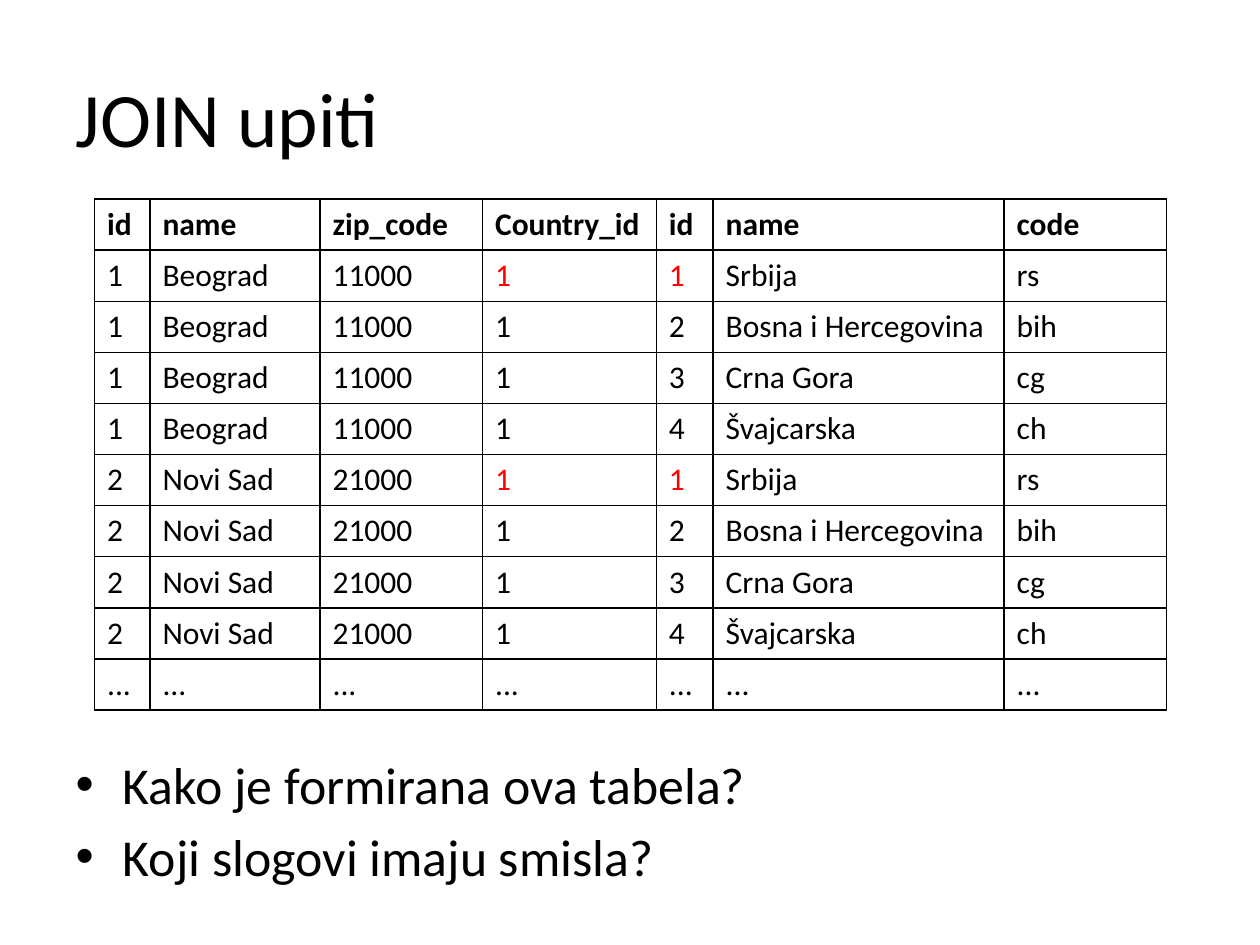
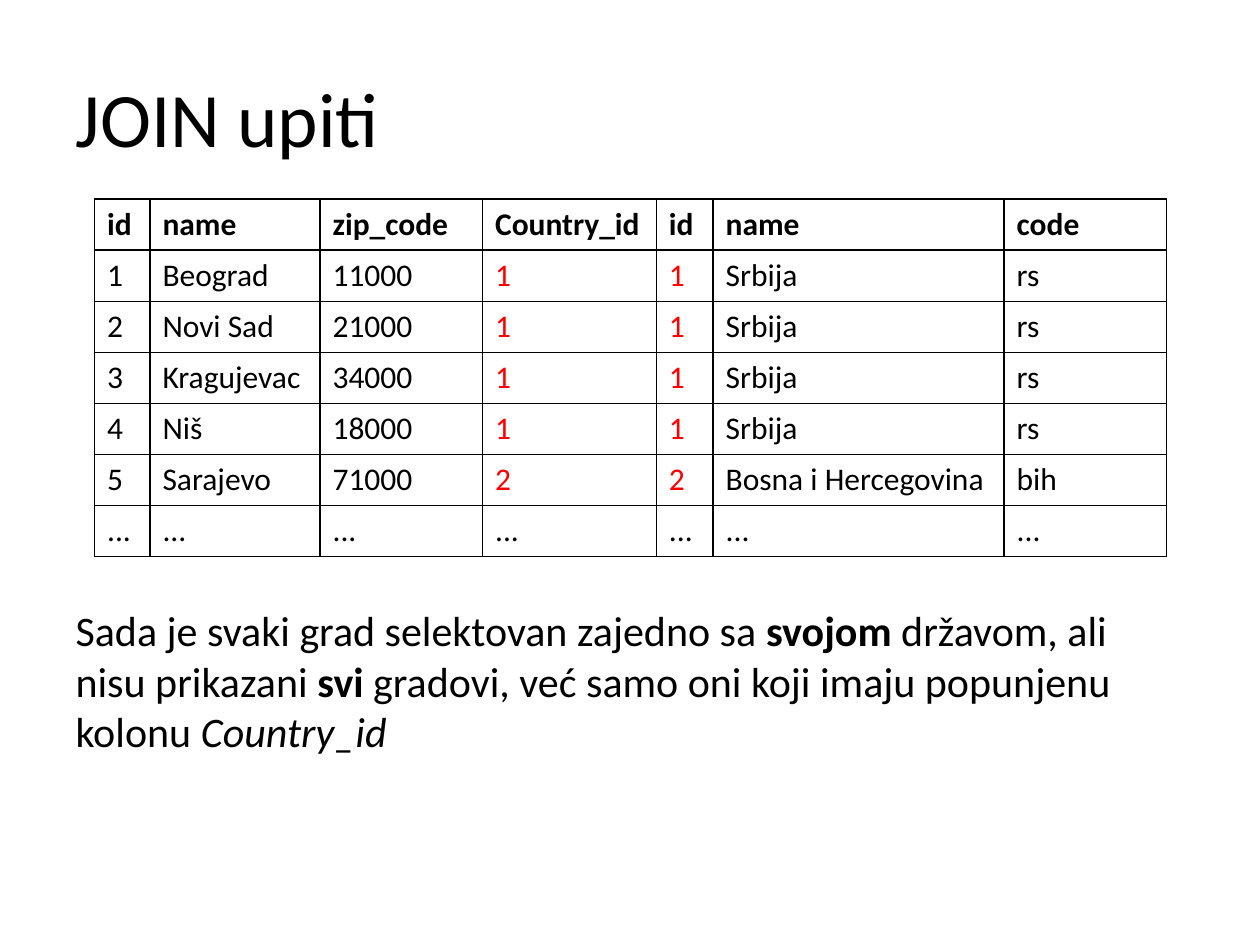
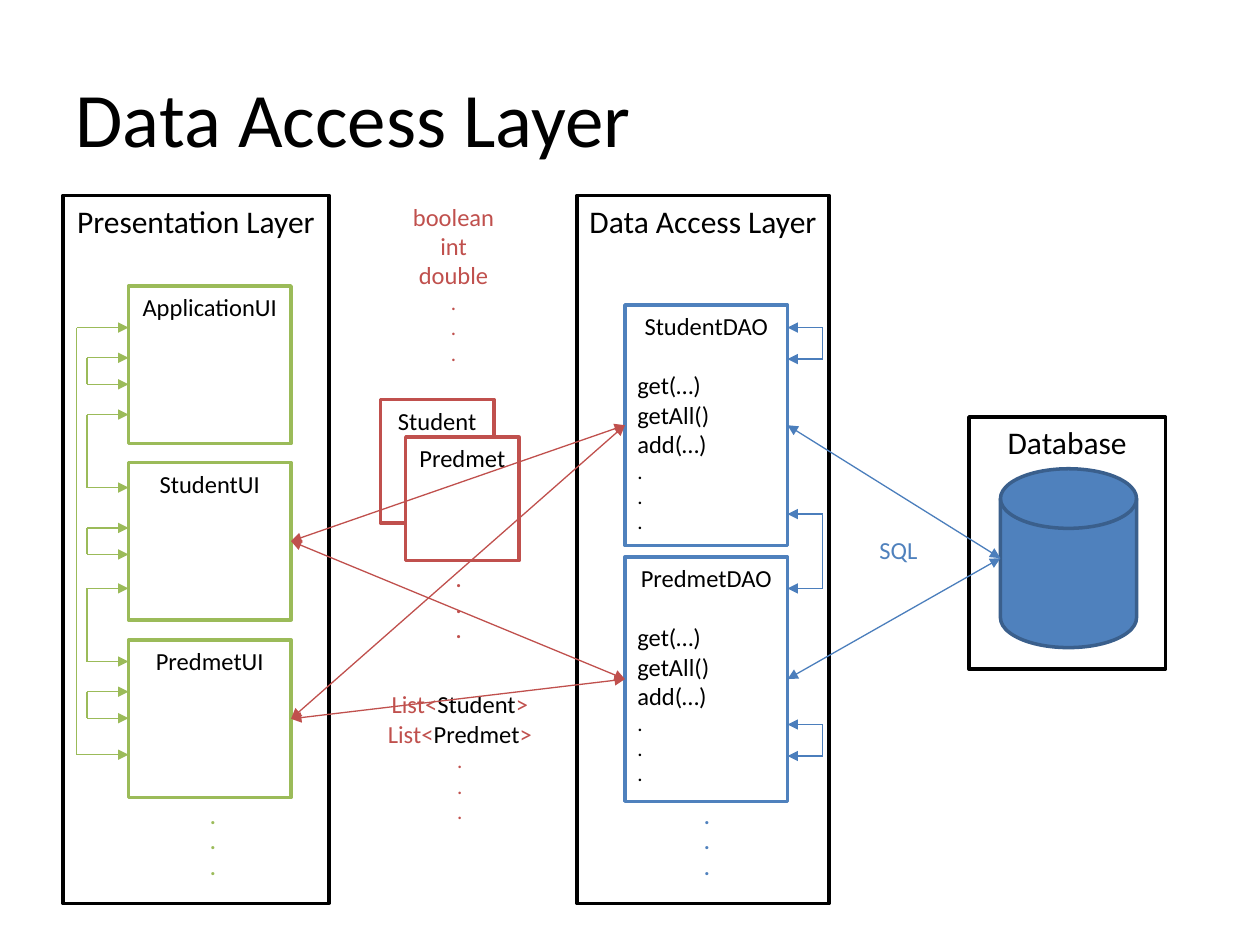
from collections import namedtuple
from itertools import product

from lxml import etree
from pptx import Presentation
from pptx.dml.color import RGBColor
from pptx.enum.shapes import MSO_CONNECTOR, MSO_SHAPE
from pptx.enum.text import MSO_ANCHOR, MSO_AUTO_SIZE, PP_ALIGN
from pptx.oxml.ns import qn
from pptx.util import Inches, Pt

STRAIGHT = MSO_CONNECTOR.STRAIGHT
RECTANGLE = MSO_SHAPE.RECTANGLE
DISK = MSO_SHAPE.FLOWCHART_MAGNETIC_DISK
TOP, MIDDLE = MSO_ANCHOR.TOP, MSO_ANCHOR.MIDDLE
LEFT, CENTER = PP_ALIGN.LEFT, PP_ALIGN.CENTER
NO_FIT, GROW = MSO_AUTO_SIZE.NONE, MSO_AUTO_SIZE.SHAPE_TO_FIT_TEXT
LEFT_SIDE, RIGHT_SIDE = 1, 3
TITLE_AND_CONTENT, TITLE_ONLY = 1, 5

FONT = "Calibri"
BLACK, WHITE, RED = "000000", "FFFFFF", "FF0000"
GREEN, BLUE, BRICK = "9BBB59", "4F81BD", "C0504D"
BLUE_LINE, BLUE_EDGE = "4B7EBC", "3A5F8C"

Box = namedtuple("Box", "left top width height")
TITLE_BOX = Box(0.5, 0.3, 9, 1.25)
DOTS = [(".", 12)] * 3

HEADER = ("id", "name", "zip_code", "Country_id", "id", "name", "code")
COLUMN_WIDTHS = (0.44, 1.35, 1.29, 1.38, 0.45, 2.31, 1.29)
ROW_HEIGHT = 0.4
KEY_COLUMNS = (3, 4)
CITIES = [
    ("1", "Beograd", "11000", "1"),
    ("2", "Novi Sad", "21000", "1"),
    ("3", "Kragujevac", "34000", "1"),
    ("4", "Niš", "18000", "1"),
    ("5", "Sarajevo", "71000", "2"),
]
COUNTRIES = [
    ("1", "Srbija", "rs"),
    ("2", "Bosna i Hercegovina", "bih"),
    ("3", "Crna Gora", "cg"),
    ("4", "Švajcarska", "ch"),
]


def rgb(color):
    return RGBColor.from_string(color)


def inches(box):
    return [Inches(value) for value in box]


def inside(box, left, top, width, height):
    return Box(box.left + left, box.top + top, width, height)


def format_span(span, size, color, bold=False, italic=False):
    font = span.font
    font.name, font.size = FONT, Pt(size)
    font.bold, font.italic = bold, italic
    font.color.rgb = rgb(color)


def add_span(para, text, size, color, bold=False, italic=False):
    span = para.add_run()
    span.text = text
    format_span(span, size, color, bold, italic)


def write_lines(frame, lines, color, align, bold=False):
    for index, (text, size) in enumerate(lines):
        para = frame.add_paragraph() if index else frame.paragraphs[0]
        para.text = text
        para.alignment = align
        format_span(para.runs[0], size, color, bold)


def place(shape, box):
    shape.left, shape.top, shape.width, shape.height = inches(box)


def add_page(deck, layout, title):
    page = deck.slides.add_slide(deck.slide_layouts[layout])
    place(page.shapes.title, TITLE_BOX)
    frame = page.shapes.title.text_frame
    frame.vertical_anchor = MIDDLE
    write_lines(frame, [(title, 44)], BLACK, LEFT)
    return page


def place_body(page, box):
    body = page.placeholders[1]
    place(body, box)
    body.text_frame.auto_size = NO_FIT
    return body.text_frame


def border_cell(cell):
    properties = cell._tc.get_or_add_tcPr()
    for index, side in enumerate(("lnL", "lnR", "lnT", "lnB")):
        line = etree.Element(qn(f"a:{side}"), w=str(Pt(1)))
        fill = etree.SubElement(line, qn("a:solidFill"))
        etree.SubElement(fill, qn("a:srgbClr"), val=BLACK)
        properties.insert(index, line)


def draw_join_table(page, left, top, pairs):
    rows = [HEADER, *(city + country for city, country in pairs)]
    rows.append(("...",) * len(HEADER))
    box = Box(left, top, sum(COLUMN_WIDTHS), ROW_HEIGHT * len(rows))
    table = page.shapes.add_table(len(rows), len(HEADER), *inches(box)).table
    table.horz_banding = False
    for column, width in zip(table.columns, COLUMN_WIDTHS):
        column.width = Inches(width)
    for row_index, values in enumerate(rows):
        matched = values[3] == values[4] and values[0] != "..."
        for column_index, text in enumerate(values):
            cell = table.cell(row_index, column_index)
            cell.fill.background()
            cell.vertical_anchor = MIDDLE
            color = RED if matched and column_index in KEY_COLUMNS else BLACK
            write_lines(cell.text_frame, [(text, 18)], color, LEFT, row_index == 0)
            border_cell(cell)


def build_product_slide(deck):
    page = add_page(deck, TITLE_AND_CONTENT, "JOIN upiti")
    draw_join_table(page, 0.75, 1.58, product(CITIES[:2], COUNTRIES))
    questions = ["Kako je formirana ova tabela?", "Koji slogovi imaju smisla?"]
    frame = place_body(page, Box(0.5, 5.92, 9, 1.08))
    write_lines(frame, [(text, 29.6) for text in questions], BLACK, LEFT)


def build_matched_slide(deck):
    page = add_page(deck, TITLE_AND_CONTENT, "JOIN upiti")
    pairs = [(city, country) for city, country in product(CITIES, COUNTRIES)
             if city[3] == country[0]]
    draw_join_table(page, 0.75, 1.58, pairs)
    para = place_body(page, Box(0.5, 4.75, 9, 1.08)).paragraphs[0]
    properties = para._p.get_or_add_pPr()
    properties.set("marL", "0")
    properties.set("indent", "0")
    etree.SubElement(properties, qn("a:buNone"))
    for text, bold, italic in [
        ("Sada je svaki grad selektovan zajedno sa ", False, False),
        ("svojom", True, False),
        (" državom, ali nisu prikazani ", False, False),
        ("svi ", True, False),
        ("gradovi, već samo oni koji imaju popunjenu kolonu ", False, False),
        ("Country_id", False, True),
    ]:
        add_span(para, text, 24, BLACK, bold, italic)


def add_block(shapes, box, line, lines=(), kind=RECTANGLE, fill=WHITE):
    block = shapes.add_shape(kind, *inches(box))
    block.shadow.inherit = False
    block.fill.solid()
    block.fill.fore_color.rgb = rgb(fill)
    block.line.color.rgb = rgb(line)
    block.line.width = Pt(2)
    block.text_frame.vertical_anchor = TOP
    write_lines(block.text_frame, lines, BLACK, CENTER)
    return block


def add_label(page, box, lines, color, align=CENTER, bold=False, wrap=True):
    frame = page.shapes.add_textbox(*inches(box)).text_frame
    frame.word_wrap = wrap
    frame.auto_size = GROW
    write_lines(frame, lines, color, align, bold)
    return frame


def add_dots(page, box, left, top, color):
    dots_box = inside(box, left, top, 0.25, 0.71)
    add_label(page, dots_box, DOTS, color, LEFT, bold=True, wrap=False)


def add_line(page, start, end, color, arrows=()):
    line = page.shapes.add_connector(STRAIGHT, *inches(start + end))
    line.line.color.rgb = rgb(color)
    line.line.width = Pt(0.75)
    for arrow in arrows:
        etree.SubElement(line.line._ln, qn(f"a:{arrow}"), type="triangle")
    etree.SubElement(line._element.spPr, qn("a:effectLst"))
    return line


def add_bracket(page, spine, edge, top, bottom, color):
    add_line(page, (spine, top), (spine, bottom), color)
    for height in (top, bottom):
        add_line(page, (spine, height), (edge, height), color, ["tailEnd"])


def link(page, source, target, color, end=(0, 0)):
    line = add_line(page, (0, 0), end, color, ["headEnd", "tailEnd"])
    line.begin_connect(source, RIGHT_SIDE)
    if target is not None:
        line.end_connect(target, LEFT_SIDE)


def draw_presentation_layer(page, box):
    add_block(page.shapes, box, BLACK, [("Presentation Layer", 18)])
    screens = []
    for name, top in (("ApplicationUI", 0.72), ("StudentUI", 2.12), ("PredmetUI", 3.53)):
        screen_box = inside(box, 0.52, top, 1.29, 1.25)
        screens.append(add_block(page.shapes, screen_box, GREEN, [(name, 14)]))
    for spine, top, bottom in [
        (0.11, 1.05, 4.44), (0.19, 1.29, 1.5), (0.19, 1.74, 2.32),
        (0.19, 2.64, 2.85), (0.19, 3.12, 3.7), (0.19, 3.94, 4.15),
    ]:
        add_bracket(page, box.left + spine, box.left + 0.52,
                    box.top + top, box.top + bottom, GREEN)
    add_dots(page, box, 1.07, 4.78, GREEN)
    return screens


def draw_data_access_layer(page, box):
    add_block(page.shapes, box, BLACK, [("Data Access Layer", 18)])
    methods = [(text, 14) for text in ("get(…)", "getAll()", "add(…)")]
    objects = []
    for name, top, height in (("StudentDAO", 0.87, 1.91), ("PredmetDAO", 2.87, 1.94)):
        block = add_block(page.shapes, inside(box, 0.38, top, 1.29, height), BLUE,
                          [(name, 14), *methods, *DOTS])
        members = block.text_frame.paragraphs[1:]
        members[0].space_before = Pt(17)
        for para in members:
            para.alignment = LEFT
        objects.append(block)
    for top, bottom in ((1.05, 1.3), (2.53, 3.12), (4.2, 4.45)):
        add_bracket(page, box.left + 1.95, box.left + 1.67,
                    box.top + top, box.top + bottom, BLUE_LINE)
    add_dots(page, box, 0.91, 4.78, BLUE)
    return objects


def draw_database(page, box):
    group = page.shapes.add_group_shape()
    add_block(group.shapes, box, BLACK, [("Database", 18)])
    disk_box = inside(box, 0.25, 0.41, 1.08, 1.42)
    add_block(group.shapes, disk_box, BLUE_EDGE, kind=DISK, fill=BLUE)
    return disk_box.left, disk_box.top + disk_box.height / 2


def draw_exchanged_types(page, box):
    primitives = [(text, 14) for text in ("boolean", "int", "double")]
    add_label(page, inside(box, 0.16, 0, 1.28, 1.41), primitives + DOTS, BRICK)
    for name, left, top in (("Student", 0.22, 1.62), ("Predmet", 0.42, 1.92)):
        add_block(page.shapes, inside(box, left, top, 0.9, 0.98), BRICK, [(name, 14)])
    add_dots(page, box, 0.72, 2.9, BRICK)
    lists = [("List<", 14)] * 2 + DOTS
    frame = add_label(page, inside(box, 0, 3.87, 1.7, 1.18), lists, BRICK)
    for para, name in zip(frame.paragraphs, ("Student", "Predmet")):
        add_span(para, name, 14, BLACK)
        add_span(para, ">", 14, BRICK)


def build_layers_slide(deck):
    page = add_page(deck, TITLE_ONLY, "Data Access Layer")
    objects = draw_data_access_layer(page, Box(4.58, 1.55, 2, 5.62))
    screens = draw_presentation_layer(page, Box(0.5, 1.55, 2.11, 5.62))
    disk_side = draw_database(page, Box(7.69, 3.31, 1.56, 2))
    draw_exchanged_types(page, Box(2.8, 1.55, 1.7, 5.05))
    for screen, data_object in product(screens[1:], objects):
        link(page, screen, data_object, BRICK)
    for data_object in objects:
        link(page, data_object, None, BLUE_LINE, disk_side)
    add_label(page, Box(6.49, 4.2, 1.28, 0.34), [("SQL", 14)], BLUE)


def main():
    deck = Presentation()
    deck.slide_width, deck.slide_height = Inches(10), Inches(7.5)
    build_product_slide(deck)
    build_matched_slide(deck)
    build_layers_slide(deck)
    deck.save("out.pptx")


if __name__ == "__main__":
    main()
